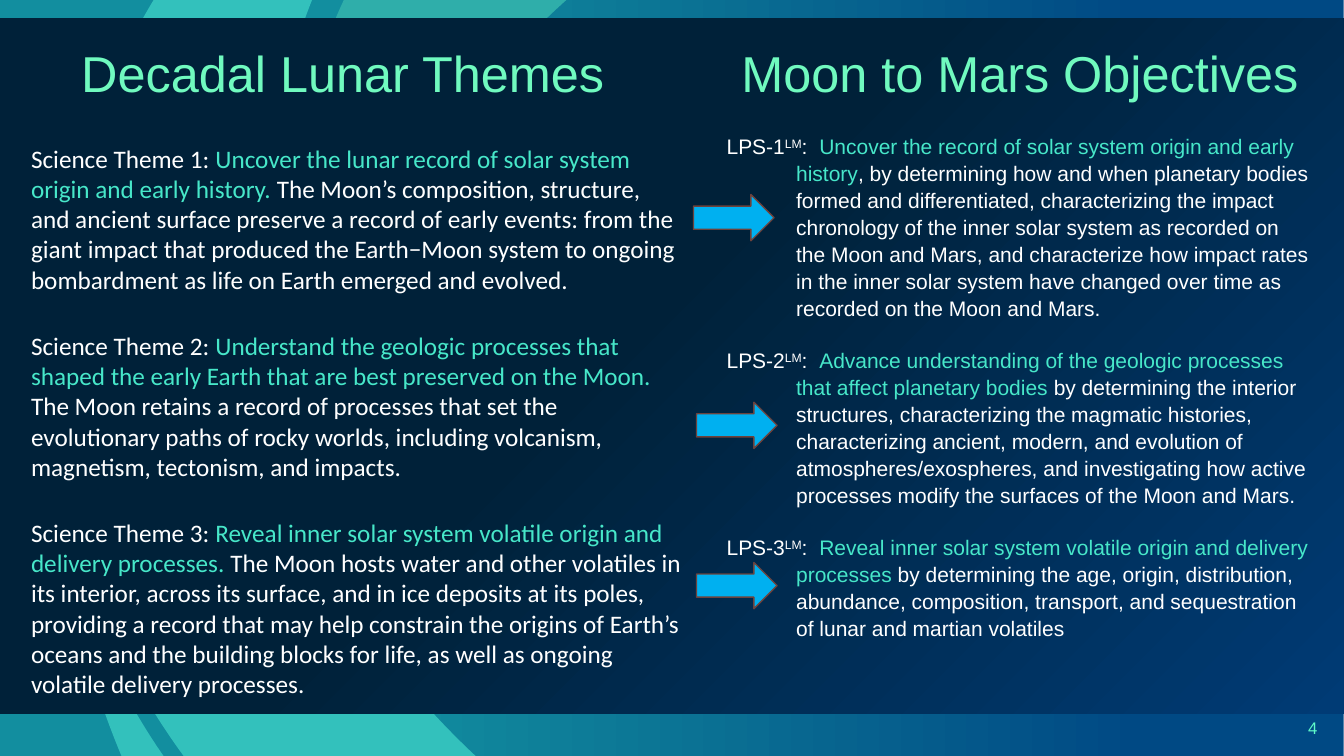
from pptx import Presentation
from pptx.dml.color import RGBColor
from pptx.enum.shapes import MSO_SHAPE
from pptx.enum.text import MSO_ANCHOR, MSO_AUTO_SIZE, PP_ALIGN
from pptx.oxml import parse_xml
from pptx.oxml.ns import nsdecls, qn
from pptx.util import Inches, Pt

WHITE, MINT, AQUA = "FFFFFF", "70FABF", "47E7C9"
RAISED, SPREAD = ("baseline", "30000"), ("spc", "210")

# Ribbon outlines: a pair is a corner, six numbers are a Bezier curve
RIBBONS = [
    ("2FAEAA", [
        [(3.57, 4.91), (3.69, 6, 4.09, 6.72, 4.09, 6.72),
         (3.69, 6.09, 3.39, 5.49, 3.18, 4.91)],
        [(3.69, 3.05), (3.93, 2.08, 4.49, 1.01, 5.63, -0.01), (3.42, -0.02),
         (3.03, 0.82, 2.74, 1.86, 2.8, 3.05)]]),
    ("33C1BC", [
        [(1.63, 7.51), (1.21, 6.91, 0.85, 6.16, 0.63, 5.27),
         (0.63, 5.27, 0.68, 6.25, 1.21, 7.51)]]),
    ("33C1BC", [
        [(0.68, 4.91), (0.84, 5.74, 1.19, 6.64, 1.83, 7.51), (4.73, 7.51),
         (4.45, 7.25, 4.17, 6.95, 3.9, 6.61),
         (3.9, 6.61, 3.4, 5.97, 3.02, 4.91)],
        [(0.57, 3.05), (0.65, 1.85, 1.01, 1.03, 1.01, 1.03),
         (1.17, 0.65, 1.33, 0.32, 1.53, -0.01), (3.1, -0.01),
         (2.66, 1.1, 2.55, 2.14, 2.62, 3.05)]]),
]

# Heading, highlighted claim, explanation
THEMES = [
    ("Science Theme 1: ",
     "Uncover the lunar record of solar system origin and early history. ",
     "The Moon’s composition, structure, and ancient surface preserve a record "
     "of early events: from the giant impact that produced the Earth−Moon "
     "system to ongoing bombardment as life on Earth emerged and evolved."),
    ("Science Theme 2: ",
     "Understand the geologic processes that shaped the early Earth that are "
     "best preserved on the Moon. ",
     "The Moon retains a record of processes that set the evolutionary paths "
     "of rocky worlds, including volcanism, magnetism, tectonism, and impacts."),
    ("Science Theme 3: ",
     "Reveal inner solar system volatile origin and delivery processes. ",
     "The Moon hosts water and other volatiles in its interior, across its "
     "surface, and in ice deposits at its poles, providing a record that may "
     "help constrain the origins of Earth’s oceans and the building blocks for "
     "life, as well as ongoing volatile delivery processes."),
]
GOALS = [
    ("LPS-1", "Uncover the record of solar system origin and early history",
     ", by determining how and when planetary bodies formed and "
     "differentiated, characterizing the impact chronology of the inner solar "
     "system as recorded on the Moon and Mars, and characterize how impact "
     "rates in the inner solar system have changed over time as recorded on "
     "the Moon and Mars."),
    ("LPS-2", "Advance understanding of the geologic processes that affect "
     "planetary bodies ",
     "by determining the interior structures, characterizing the magmatic "
     "histories, characterizing ancient, modern, and evolution of "
     "atmospheres/exospheres, and investigating how active processes modify "
     "the surfaces of the Moon and Mars."),
    ("LPS-3", "Reveal inner solar system volatile origin and delivery processes ",
     "by determining the age, origin, distribution, abundance, composition, "
     "transport, and sequestration of lunar and martian volatiles"),
]


def tint(code):
    return RGBColor.from_string(code)


def write(frame, paras, size=18, font="Arial", align=PP_ALIGN.LEFT,
          anchor=MSO_ANCHOR.TOP, line=1.0, before=0, after=0, hang=0):
    """Fill a frame; each paragraph is a list of (text, colour, *traits)."""
    frame.word_wrap = True
    frame.auto_size = MSO_AUTO_SIZE.NONE
    frame.vertical_anchor = anchor
    for i, runs in enumerate(paras):
        para = frame.add_paragraph() if i else frame.paragraphs[0]
        para.alignment, para.line_spacing = align, line
        para.space_before = Pt(before if i else 0)
        para.space_after = Pt(after)
        if hang:
            props = para._p.get_or_add_pPr()
            props.set("marL", str(Inches(hang)))
            props.set("indent", str(-Inches(hang)))
        for words, color, *traits in runs:
            run = para.add_run()
            run.text = words
            run.font.size, run.font.name = Pt(size), font
            run.font.color.rgb = tint(color)
            for key, value in traits:
                run.font._element.set(key, value)


def add_text(slide, box, paras, **style):
    area = slide.shapes.add_textbox(*map(Inches, box))
    write(area.text_frame, paras, **style)


def add_shape(slide, kind, box, fill=None, edge=None):
    shape = slide.shapes.add_shape(kind, *map(Inches, box))
    shape.shadow.inherit = False
    if fill:
        shape.fill.solid()
        shape.fill.fore_color.rgb = tint(fill)
    if edge:
        shape.line.color.rgb = tint(edge)
        shape.line.width = Pt(1)
    else:
        shape.line.fill.background()
    return shape


def add_blend(slide, box, stops, radial=False):
    """Rectangle blending leftwards, or outwards from its lower right corner."""
    shape = add_shape(slide, MSO_SHAPE.RECTANGLE, box)
    shape.fill.gradient()
    shape.fill.gradient_angle = 180
    for stop, (place, color) in zip(shape.fill.gradient_stops, stops):
        stop.position = place
        stop.color.rgb = tint(color)
    if radial:
        grad = shape._element.spPr.find(qn("a:gradFill"))
        grad.replace(grad.find(qn("a:lin")), parse_xml(
            f'<a:path {nsdecls("a")} path="circle">'
            '<a:fillToRect l="100000" t="100000"/></a:path>'))


def pairs(part):
    """Split a flat run of numbers into points in EMU."""
    return [(Inches(x), Inches(y)) for x, y in zip(part[::2], part[1::2])]


def add_ribbon(slide, color, outlines):
    pen = slide.shapes.build_freeform(*pairs(outlines[0][0])[0])
    for i, (start, *parts) in enumerate(outlines):
        if i:
            pen.move_to(*pairs(start)[0])
        pen.add_line_segments([p for part in parts for p in pairs(part)],
                              close=True)
    shape = pen.convert_to_shape()
    # Join each three points of a curve into one Bezier segment
    lines = iter(list(shape._element.iter(qn("a:lnTo"))))
    for part in (part for outline in outlines for part in outline[1:]):
        steps = [next(lines) for _ in pairs(part)]
        if len(steps) == 3:
            curve = parse_xml(f'<a:cubicBezTo {nsdecls("a")}/>')
            steps[0].addprevious(curve)
            for step in steps:
                curve.append(step[0])
                step.getparent().remove(step)
    shape.shadow.inherit = False
    shape.fill.solid()
    shape.fill.fore_color.rgb = tint(color)
    shape.line.fill.background()


def main():
    deck = Presentation()
    deck.slide_width, deck.slide_height = Inches(40 / 3), Inches(7.5)
    slide = deck.slides.add_slide(deck.slide_layouts[5])

    # Backdrop
    add_blend(slide, (-0.02, -0.01, 13.35, 7.51),
              [(0.15, "004984"), (0.72, "128E9F")])
    for color, outlines in RIBBONS:
        add_ribbon(slide, color, outlines)
    add_blend(slide, (-0.01, 0.18, 13.34, 6.9),
              [(0, "003B75"), (0.54, "002139")], radial=True)

    # Headings
    head = dict(size=36, align=PP_ALIGN.CENTER, anchor=MSO_ANCHOR.MIDDLE,
                line=0.9)
    title = slide.shapes.title
    title.left, title.top = Inches(6.84), Inches(0.43)
    title.width, title.height = Inches(6.56), Inches(0.65)
    slide.shapes._spTree.append(title._element)
    write(title.text_frame, [[("Moon to Mars Objectives", MINT)]], **head)
    add_text(slide, (0.31, 0.43, 6.18, 0.65),
             [[("Decadal Lunar Themes", MINT)]], **head)

    # Objectives and themes
    add_text(slide, (7.11, 1.26, 6.01, 5.18),
             [[(name, WHITE), ("LM", WHITE, RAISED), (": ", WHITE, SPREAD),
               (claim, AQUA), (rest, WHITE)] for name, claim, rest in GOALS],
             size=15, line=1.07, before=10, after=8, hang=0.69)
    add_text(slide, (0.21, 1.37, 6.67, 5.65),
             [[(name, WHITE), (claim, AQUA), (rest, WHITE)]
              for name, claim, rest in THEMES], font="Calibri", before=25.6)

    # Arrows from theme to objective
    for left, top in [(6.88, 1.93), (6.91, 3.99), (6.91, 5.58)]:
        add_shape(slide, MSO_SHAPE.RIGHT_ARROW, (left, top, 0.8, 0.46),
                  "00B0F0", "6D423C")

    # Page number
    add_text(slide, (10.17, 7.02, 3, 0.4), [[("4", "5FFAC9")]], size=12,
             align=PP_ALIGN.RIGHT, anchor=MSO_ANCHOR.MIDDLE)

    deck.save("out.pptx")


if __name__ == "__main__":
    main()
